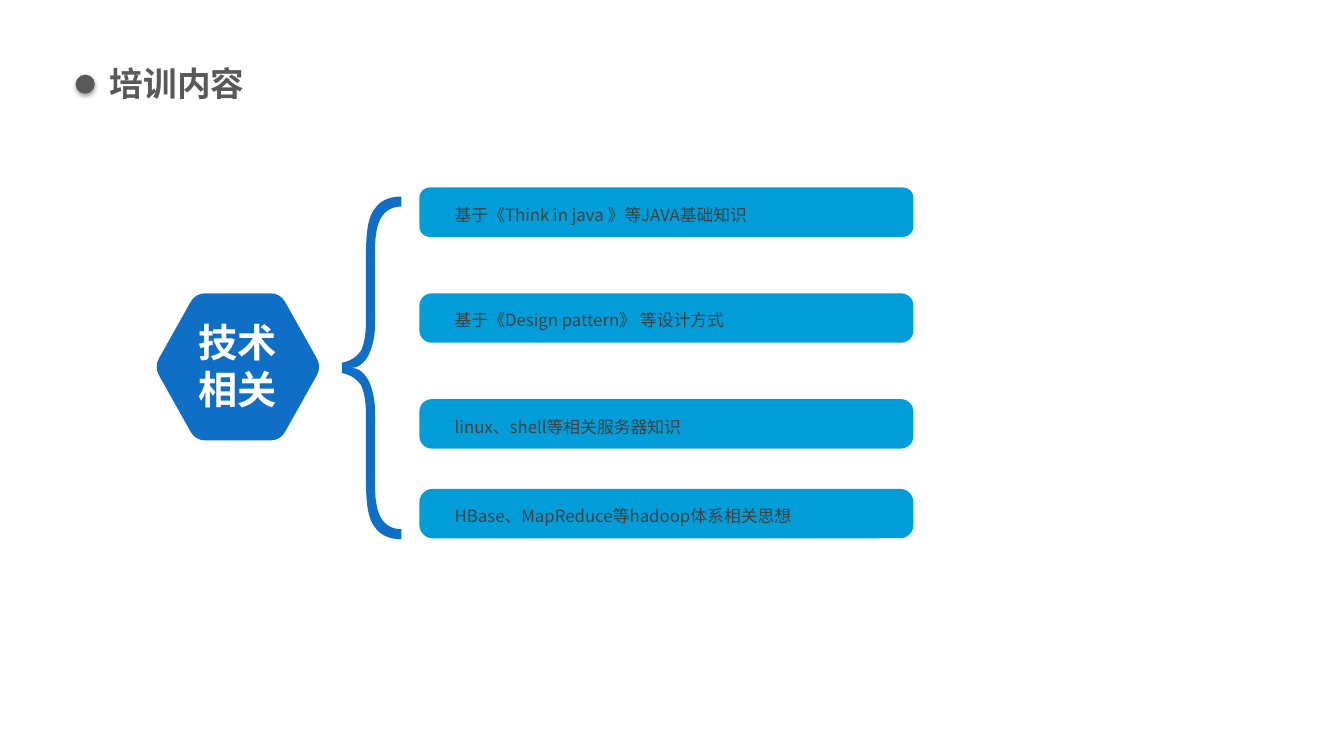
from lxml import etree
from pptx import Presentation
from pptx.dml.color import RGBColor
from pptx.enum.shapes import MSO_SHAPE
from pptx.enum.text import MSO_ANCHOR, MSO_AUTO_SIZE, PP_ALIGN
from pptx.oxml.ns import qn
from pptx.util import Inches, Pt

WHITE = RGBColor(0xFF, 0xFF, 0xFF)
GREY = RGBColor(0x59, 0x59, 0x59)
DARK = RGBColor(0x40, 0x40, 0x40)
BLUE = RGBColor(0x0F, 0x6F, 0xC6)
SKY = RGBColor(0x00, 0x9D, 0xD9)
CJK_FONT = "Noto Sans CJK SC"
TITLE_FONT = "Quicksand"
OVAL, ROUNDED = MSO_SHAPE.OVAL, MSO_SHAPE.ROUNDED_RECTANGLE
LEFT, CENTER, JUSTIFY = PP_ALIGN.LEFT, PP_ALIGN.CENTER, PP_ALIGN.JUSTIFY
TITLE_ONLY = 5

# Top of each bar, its corner rounding, top and width of its label, and the wording
TOPICS = [
    (1.86, 0.21, 1.99, 4.11, "基于《Think in java 》等JAVA基础知识"),
    (2.91, 0.25, 3.03, 4.99, "基于《Design pattern》 等设计方式"),
    (3.96, 0.25, 4.09, 4.11, "linux、shell等相关服务器知识"),
    (4.85, 0.27, 4.98, 4.11, "HBase、MapReduce等hadoop体系相关思想"),
]

# Upper half of the brace, from its notch to its tip: straight runs and cubic curves
BRACE_START = (0.09, 1.7)
BRACE_SEGMENTS = [
    [(0.26, 1.7), (0.33, 1.46), (0.33, 1.26)],
    [(0.33, 0.52)],
    [(0.33, 0.38), (0.35, 0.28), (0.39, 0.21)],
    [(0.43, 0.14), (0.5, 0.1), (0.59, 0.1)],
    [(0.59, 0)],
    [(0.47, 0), (0.38, 0.04), (0.32, 0.13)],
    [(0.26, 0.21), (0.24, 0.36), (0.24, 0.58)],
    [(0.24, 1.23)],
    [(0.24, 1.37), (0.22, 1.47), (0.19, 1.53)],
    [(0.15, 1.59), (0.09, 1.63), (0, 1.65)],
]


def blend(start, end, share):
    return tuple(a + (b - a) * share for a, b in zip(start, end))


def bend(start, control, end):
    """Cubic segment equal to a quadratic curve with one control point."""
    return [blend(start, control, 2 / 3), blend(end, control, 2 / 3), end]


def paint(shape, color):
    shape.fill.solid()
    shape.fill.fore_color.rgb = color
    shape.line.fill.background()
    shape.shadow.inherit = False


def add_outline(page, left, top, start, segments, color):
    """Closed outline; a segment of one point is straight, one of three is a curve."""
    points = [start] + [point for segment in segments for point in segment]
    corners = [(Inches(left + x), Inches(top + y)) for x, y in points]
    builder = page.shapes.build_freeform(*corners[0])
    builder.add_line_segments(corners[1:], close=True)
    outline = builder.convert_to_shape()
    paint(outline, color)

    # Join each three points of a curve into one Bezier element
    lines = iter(list(outline._element.iter(qn("a:lnTo"))))
    for segment in segments:
        group = [next(lines) for _ in segment]
        if len(group) == 3:
            curve = etree.Element(qn("a:cubicBezTo"))
            group[0].addprevious(curve)
            for line in group:
                curve.append(line[0])
                line.getparent().remove(line)


def write(frame, text, font, size, color, align, bold=False):
    frame.text = text
    frame.word_wrap = True
    para = frame.paragraphs[0]
    para.alignment = align
    span = para.runs[0]
    span.font.name = font
    span.font.size = Pt(size)
    span.font.bold = bold
    span.font.color.rgb = color
    east_asian = etree.SubElement(span.font._element, qn("a:ea"))
    east_asian.set("typeface", font)
    return para


def add_label(page, left, top, width, height, text, size, color, align, bold=False):
    box = page.shapes.add_textbox(Inches(left), Inches(top), Inches(width), Inches(height))
    frame = box.text_frame
    frame.margin_left = frame.margin_right = frame.margin_top = frame.margin_bottom = 0
    para = write(frame, text, CJK_FONT, size, color, align, bold)
    frame.auto_size = MSO_AUTO_SIZE.SHAPE_TO_FIT_TEXT
    return para


def add_heading(page, left, top, width, height):
    # Title
    title = page.shapes.title
    title.left, title.top = Inches(left + 0.24), Inches(top)
    title.width, title.height = Inches(width - 0.24), Inches(height)
    write(title.text_frame, "培训内容", TITLE_FONT, 24, GREY, LEFT, bold=True)
    title.text_frame.vertical_anchor = MSO_ANCHOR.TOP
    title.text_frame.auto_size = MSO_AUTO_SIZE.SHAPE_TO_FIT_TEXT

    # Dot with a soft shadow below it
    dot = page.shapes.add_shape(
        OVAL, Inches(left), Inches(top + 0.17), Inches(0.19), Inches(0.19))
    paint(dot, GREY)
    effects = dot._element.spPr.find(qn("a:effectLst"))
    shadow = etree.SubElement(
        effects, qn("a:outerShdw"), blurRad=str(Pt(3.1)), dist=str(Pt(1.8)),
        dir="5400000", rotWithShape="0")
    tint = etree.SubElement(shadow, qn("a:srgbClr"), val="000000")
    etree.SubElement(tint, qn("a:alpha"), val="35000")


def add_hexagon(page, left, top, width, height):
    # Rounded outline: each sharp corner is cut back and bridged by two curves
    cut, overhang, inset = 0.1, 0.02, 0.39
    middle = height / 2
    corners = [
        (inset, 0), (width - inset, 0), (width + overhang, middle),
        (width - inset, height), (inset, height), (-overhang, middle),
    ]
    segments = []
    for index, corner in enumerate(corners):
        ends = []
        for other in (corners[index - 1], corners[(index + 1) % len(corners)]):
            length = ((other[0] - corner[0]) ** 2 + (other[1] - corner[1]) ** 2) ** 0.5
            ends.append(blend(corner, other, cut / length))
        before, after = (blend(end, corner, 0.5) for end in ends)
        peak = blend(before, after, 0.5)
        segments += [[ends[0]], bend(ends[0], before, peak), bend(peak, after, ends[1])]
    start = segments.pop(0)[0]
    add_outline(page, left, top, start, segments, BLUE)
    add_label(page, left + 0.31, top + 0.25, 0.99, 0.94, "技术相关", 28, WHITE,
              CENTER, bold=True)


def add_brace(page, left, top, height):
    # The lower half runs back along the upper half, mirrored
    begins = [BRACE_START] + [segment[-1] for segment in BRACE_SEGMENTS]
    lower = [[begins[-1]]]
    for begin, segment in reversed(list(zip(begins, BRACE_SEGMENTS))):
        lower.append(segment[:-1][::-1] + [begin])
    mirrored = [[(x, height - y) for x, y in segment] for segment in lower]
    add_outline(page, left, top, BRACE_START, BRACE_SEGMENTS + mirrored, BLUE)


def add_topics(page, left, width, height):
    for top, rounding, label_top, label_width, wording in TOPICS:
        bar = page.shapes.add_shape(
            ROUNDED, Inches(left), Inches(top), Inches(width), Inches(height))
        bar.adjustments[0] = rounding
        paint(bar, SKY)
        para = add_label(page, left + 0.35, label_top, label_width, 0.24, wording, 12,
                         DARK, JUSTIFY)
        para.line_spacing = 1.2


def main():
    deck = Presentation()
    deck.slide_width, deck.slide_height = Inches(13.33), Inches(7.5)
    page = deck.slides.add_slide(deck.slide_layouts[TITLE_ONLY])
    add_heading(page, 0.75, 0.57, 9.15, 0.5)
    add_hexagon(page, 1.55, 2.91, 1.62, 1.46)
    add_brace(page, 3.39, 1.95, 3.4)
    add_topics(page, 4.16, 4.9, 0.49)
    deck.save("out.pptx")


if __name__ == "__main__":
    main()
